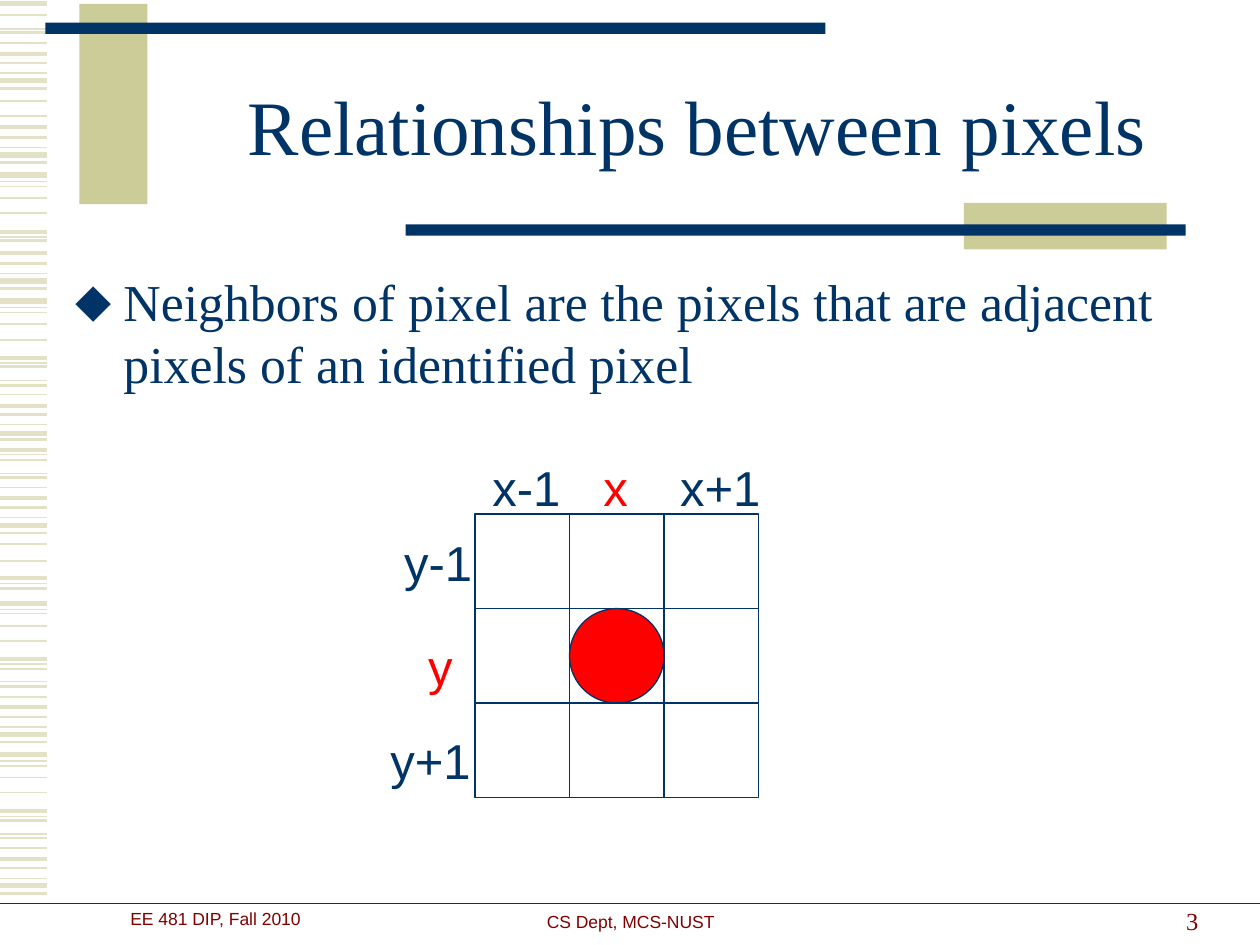
from lxml import etree
from pptx import Presentation
from pptx.dml.color import RGBColor
from pptx.enum.shapes import MSO_CONNECTOR as Connector, MSO_SHAPE as Preset
from pptx.enum.text import MSO_ANCHOR as Anchor, MSO_AUTO_SIZE as AutoSize, PP_ALIGN as Align
from pptx.oxml.ns import qn
from pptx.util import Inches, Pt

NAVY = RGBColor(0x00, 0x33, 0x66)
KHAKI = RGBColor(0xCC, 0xCC, 0x99)
PALE_KHAKI = RGBColor(0xE3, 0xE2, 0xC7)
MAROON = RGBColor(0x80, 0x00, 0x00)
RED = RGBColor(0xFF, 0x00, 0x00)

presentation = Presentation()
presentation.slide_width = Inches(10)
presentation.slide_height = Inches(7.5)
slide = presentation.slides.add_slide(presentation.slide_layouts[1])
shapes = slide.shapes


def write(shape, text, size, color=NAVY, font="Arial", align=Align.LEFT,
          anchor=Anchor.TOP, wrap=True, fit=AutoSize.NONE, spacing=None):
    frame = shape.text_frame
    frame.word_wrap = wrap
    frame.auto_size = fit
    frame.vertical_anchor = anchor
    frame.text = text
    paragraph = frame.paragraphs[0]
    paragraph.alignment = align
    paragraph.space_before = Pt(0)
    if spacing:
        paragraph.line_spacing = spacing
    run_font = paragraph.runs[0].font
    run_font.name = font
    run_font.size = Pt(size)
    run_font.color.rgb = color
    return paragraph


def draw_line(left, right, y, color, width):
    line = shapes.add_connector(Connector.STRAIGHT, Inches(left), Inches(y),
                                Inches(right), Inches(y))
    line.line.color.rgb = color
    line.line.width = Pt(width)
    etree.SubElement(line._element.spPr, qn("a:effectLst"))


stripes = {
    0.75: [0.23, 0.58, 1.17, 1.44, 1.88, 2.17, 2.44, 2.88, 3.02, 3.37, 3.61, 3.76,
           4.11, 4.63, 4.84, 5.27, 5.41, 5.77, 6.04, 6.48, 6.62, 6.97],
    1: [0.34, 0.8, 0.92, 1.48, 1.57, 1.69, 2.48, 2.57, 2.7, 3.13, 3.87, 4.32, 4.45,
        4.87, 4.97, 5.09, 5.53, 6.08, 6.17, 6.29, 6.73],
    1.5: [0.12, 0.26, 0.5, 0.7, 1.09, 1.29, 1.91, 2.09, 2.29, 2.91, 3.06, 3.29, 3.49,
          3.65, 3.79, 4.03, 4.23, 4.67, 5.31, 5.45, 5.69, 5.89, 6.51, 6.65, 6.89, 7.09],
    2.25: [0.43, 1.01, 1.84, 2.01, 2.84, 3.22, 3.57, 3.95, 4.59, 5.23, 5.61, 6.44, 6.82],
    3: [0.03, 0.64, 1.23, 1.39, 2.23, 2.39, 3.44, 4.17, 4.79, 5.83, 5.99, 7.03],
}
for width, heights in stripes.items():
    for y in heights:
        draw_line(-0.33, 0.37, y, PALE_KHAKI, width)

for left, top, width, height, color in [
    (0.63, 0.03, 0.54, 1.59, KHAKI),
    (0.36, 0.18, 6.19, 0.09, NAVY),
    (7.65, 1.61, 1.61, 0.37, KHAKI),
    (3.22, 1.78, 6.19, 0.09, NAVY),
]:
    bar = shapes.add_shape(Preset.RECTANGLE, Inches(left), Inches(top),
                           Inches(width), Inches(height))
    bar.shadow.inherit = False
    bar.fill.solid()
    bar.fill.fore_color.rgb = color
    bar.line.fill.background()

draw_line(0, 10, 7.17, NAVY, 0.75)
for text, left, top, width in [
    ("CS Dept, MCS-NUST", 2.92, 6.85, 4.17),
    ("EE 481 DIP, Fall 2010", 0.92, 6.83, 1.58),
]:
    footer = shapes.add_textbox(Inches(left), Inches(top), Inches(width), Inches(0.5))
    footer.text_frame.margin_top = Inches(0.38)
    footer.text_frame.margin_bottom = 0
    write(footer, text, 10, MAROON, align=Align.CENTER)

page_number = shapes.add_textbox(Inches(7.21), Inches(6.97), Inches(2.4), Inches(0.5))
write(page_number, "3", 14, MAROON, "Times New Roman", Align.RIGHT, Anchor.BOTTOM)

title = shapes.title
title.left, title.top = Inches(1.5), Inches(0.42)
title.width, title.height = Inches(8.07), Inches(1.25)
write(title, "Relationships between pixels", 44, font="Times New Roman",
      align=Align.CENTER, anchor=Anchor.MIDDLE, spacing=0.85)

body = slide.placeholders[1]
body.left, body.top = Inches(0.5), Inches(2.09)
body.width, body.height = Inches(9.33), Inches(1.16)
definition = write(
    body, "Neighbors of pixel are the pixels that are adjacent pixels of an identified pixel",
    29.6, font="Times New Roman")
properties = definition._p.get_or_add_pPr()
properties.set("marL", str(Inches(0.38)))
properties.set("indent", str(-Inches(0.38)))
bullet_color = etree.SubElement(properties, qn("a:buClr"))
etree.SubElement(bullet_color, qn("a:srgbClr"), val=str(NAVY))
etree.SubElement(properties, qn("a:buChar"), char="⬥")

cell = 0.75
grid_left, grid_top = 3.77, 4.08
for preset, column, row, span, fill in [
    (Preset.OVAL, 1, 1, 1, RED),
    (Preset.RECTANGLE, 1, 0, 1, None),
    (Preset.RECTANGLE, 2, 1, 1, None),
    (Preset.RECTANGLE, 1, 2, 1, None),
    (Preset.RECTANGLE, 0, 1, 1, None),
    (Preset.RECTANGLE, 0, 0, 3, None),
]:
    pixel = shapes.add_shape(preset, Inches(grid_left + column * cell),
                             Inches(grid_top + row * cell),
                             Inches(span * cell), Inches(span * cell))
    pixel.shadow.inherit = False
    pixel.line.color.rgb = NAVY
    pixel.line.width = Pt(0.75)
    if fill:
        pixel.fill.solid()
        pixel.fill.fore_color.rgb = fill
    else:
        pixel.fill.background()

for text, left, top, width, color in [
    ("x-1", 3.81, 3.58, 0.76, NAVY),
    ("x+1", 5.3, 3.58, 0.86, NAVY),
    ("x", 4.69, 3.58, 0.41, RED),
    ("y-1", 3.11, 4.18, 0.76, NAVY),
    ("y+1", 3, 5.75, 0.86, NAVY),
    ("y", 3.3, 5, 0.41, RED),
]:
    label = shapes.add_textbox(Inches(left), Inches(top), Inches(width), Inches(0.57))
    write(label, text, 28, color, wrap=False, fit=AutoSize.SHAPE_TO_FIT_TEXT)

presentation.save("out.pptx")
